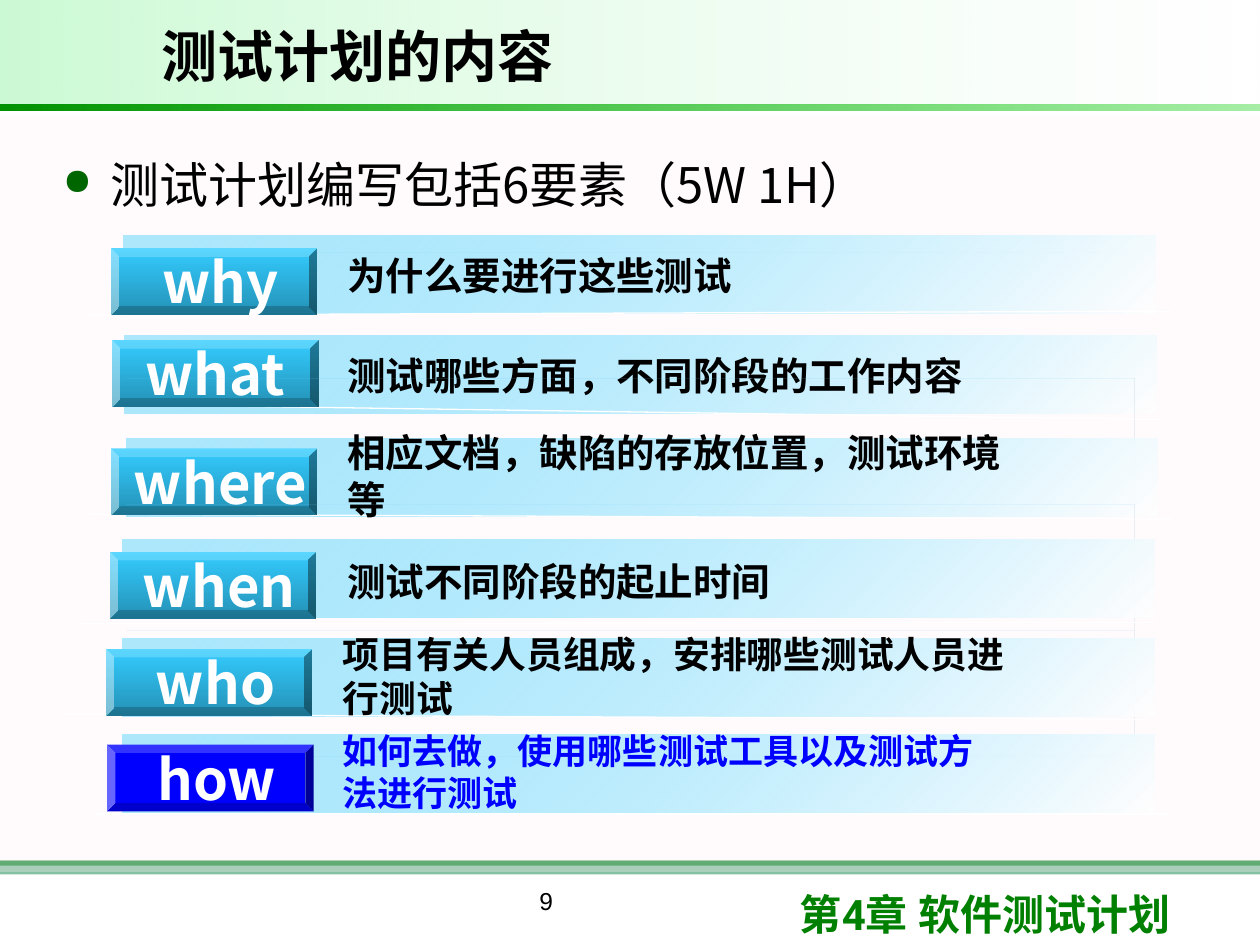
import pptx
import pptx.dml.color
import pptx.enum.shapes
import pptx.enum.text
import pptx.oxml
import pptx.oxml.ns
import pptx.util
from lxml import etree

Inches = pptx.util.Inches
Pt = pptx.util.Pt
RGB = pptx.dml.color.RGBColor
SHAPE = pptx.enum.shapes.MSO_SHAPE
ALIGN = pptx.enum.text.PP_ALIGN
MIDDLE = pptx.enum.text.MSO_ANCHOR.MIDDLE
qn = pptx.oxml.ns.qn

WIDTH, HEIGHT = 10, 7.5
WHITE, BLACK, BLUE = RGB(255, 255, 255), RGB(0, 0, 0), RGB(0, 0, 255)
GREEN, SEA_GREEN, BULLET_GREEN = RGB(0, 0x80, 0), RGB(0x33, 0x99, 0x66), RGB(0, 0x66, 0)
BLUSH, MINT = RGB(0xFF, 0xF0, 0xF5), RGB(0x09, 0xE7, 0x33)
RULE_DARK, RULE_LIGHT = RGB(0, 0x92, 0), RGB(0, 0xCC, 0)
SKY, DEEP_SKY = RGB(0x33, 0xCC, 0xFF), RGB(0x24, 0x91, 0xB6)
EDGE_TOP, EDGE_RIGHT = RGB(0x80, 0xD0, 0xFA), RGB(0x5B, 0x9C, 0xBB)
CJK = "Noto Sans CJK SC"

BAR_WIDTH, BAR_HEIGHT, BAR_DEPTH = 8.19, 0.62, 0.04
TAB_WIDTH, TAB_HEIGHT = 1.64, 0.53
# label, tab inset, answer, answer size, bar corner, tab corner, answer corner, separator ends
ROWS = [
    ("why", 0.1, "为什么要进行这些测试", 22,
     (0.98, 1.87), (0.88, 1.97), (2.66, 1.81), (0.69, 2.5, 9.29, 2.47)),
    ("what", 0, "测试哪些方面，不同阶段的工作内容", 22,
     (0.99, 2.66), (0.89, 2.7), (2.66, 2.6), (1.6, 3.22, 9.21, 3.33)),
    ("where", 0.1, "相应文档，缺陷的存放位置，测试环境等", 22,
     (1, 3.48), (0.88, 3.56), (2.66, 3.4), (0.69, 4.08, 9.29, 4.12)),
    ("when", 0.1, "测试不同阶段的起止时间", 22,
     (0.97, 4.28), (0.87, 4.38), (2.66, 4.24), (0.64, 4.95, 9.15, 4.94)),
    ("who", 0.1, "项目有关人员组成，安排哪些测试人员进行测试", 21,
     (0.97, 5.07), (0.84, 5.15), (2.62, 4.99), (0.5, 5.67, 9.1, 5.71)),
    ("how", 0.1, "如何去做，使用哪些测试工具以及测试方法进行测试", 20,
     (0.97, 5.83), (0.85, 5.91), (2.62, 5.75), (0.75, 6.46, 9.27, 6.46)),
]


def paint(shape, stops, angle=0):
    """Fill with one (colour, opacity) stop or a gradient of two, turned clockwise."""
    shape.shadow.inherit = False
    shape.line.fill.background()
    if len(stops) == 1:
        shape.fill.solid()
        shape.fill.fore_color.rgb = stops[0][0]
    else:
        shape.fill.gradient()
        shape.fill.gradient_angle = -angle % 360
        for position, (stop, (color, _)) in enumerate(zip(shape.fill.gradient_stops, stops)):
            stop.position = position
            stop.color.rgb = color
    colors = shape._element.spPr.iter(qn("a:srgbClr"))
    for element, (_, opacity) in zip(colors, stops):
        if opacity < 100:
            etree.SubElement(element, qn("a:alpha"), val=str(opacity * 1000))


def add_block(slide, box, stops, angle=0, kind=SHAPE.RECTANGLE):
    shape = slide.shapes.add_shape(kind, *map(Inches, box))
    paint(shape, stops, angle)
    return shape


def write(shape, text, size, color, font=None, bold=False, align=None, anchor=None, wrap=True):
    frame = shape.text_frame
    frame.word_wrap = wrap
    frame.vertical_anchor = anchor
    frame.text = text
    paragraph = frame.paragraphs[0]
    paragraph.alignment = align
    run = paragraph.runs[0]
    run.font.size, run.font.bold = Pt(size), bold
    run.font.color.rgb = color
    run.font.name = font or "Arial"
    etree.SubElement(run._r.get_or_add_rPr(), qn("a:ea"), typeface=font or CJK)
    return paragraph


def add_text(slide, box, *args, **style):
    return write(slide.shapes.add_textbox(*map(Inches, box)), *args, **style)


def add_header(slide, left, top, width, height):
    add_block(slide, (left, top, width, height), [(MINT, 21), (WHITE, 10)])
    add_block(slide, (left, top + height, width, 0.05), [(RULE_DARK, 100), (RULE_LIGHT, 35)])
    add_text(slide, (left + 1.18, top + 0.08, 6.97, 0.71), "测试计划的内容", 32, BLACK,
             bold=True, anchor=MIDDLE)


def add_footer(slide, left, top, width):
    add_block(slide, (left, top, width, 0.04), [(GREEN, 100)])
    add_block(slide, (left, top, width, 0.11), [(SEA_GREEN, 60)])
    add_block(slide, (left, 0.92, width, 6), [(BLUSH, 30)])
    add_text(slide, (left + 6.25, top + 0.17, 3.37, 0.5), "第4章 软件测试计划", 24, GREEN,
             font="Roboto", bold=True)
    add_text(slide, (left + 2.75, top + 0.15, 3.17, 0.52), "9", 14, BLACK, align=ALIGN.CENTER)


def add_lead(slide, box):
    paragraph = add_text(slide, box, "测试计划编写包括6要素（5W 1H）", 28, BLACK, font=CJK)
    paragraph.line_spacing = 1.2
    paragraph.space_after = Pt(6)
    properties = paragraph._p.get_or_add_pPr()
    properties.set("marL", str(Inches(0.39)))
    properties.set("indent", str(Inches(-0.38)))
    color = etree.SubElement(properties, qn("a:buClr"))
    etree.SubElement(color, qn("a:srgbClr"), val=str(BULLET_GREEN))
    etree.SubElement(properties, qn("a:buSzPct"), val="75000")
    etree.SubElement(properties, qn("a:buChar"), char="●")


def add_face(slide, points, color):
    builder = slide.shapes.build_freeform(*points[0], scale=Inches(1))
    builder.add_line_segments(points[1:])
    paint(builder.convert_to_shape(), [(color, 100)])


def add_bar(slide, left, top):
    """Draw a translucent bar with a raised top and right edge."""
    right, bottom, depth = left + BAR_WIDTH, top + BAR_HEIGHT, BAR_DEPTH
    corner = (right + depth, top - depth)
    add_face(slide, [(left, top), (left + depth, top - depth), corner, (right, top)], EDGE_TOP)
    add_face(slide, [(right, top), corner, (right + depth, bottom - depth), (right, bottom)],
             EDGE_RIGHT)
    add_block(slide, (left, top, BAR_WIDTH, BAR_HEIGHT), [(SKY, 40), (WHITE, 90)], 45)


def add_separator(slide, ends):
    line = slide.shapes.add_connector(pptx.enum.shapes.MSO_CONNECTOR.STRAIGHT,
                                      *map(Inches, ends))
    line.line.color.rgb = WHITE
    line.line.width = Pt(0.75)
    etree.SubElement(line._element.spPr, qn("a:effectLst"))


def add_row(slide, label, inset, answer, size, bar, tab, answer_corner, separator):
    highlighted = label == "how"
    add_bar(slide, *bar)
    add_separator(slide, separator)
    stops = [(BLUE, 100)] if highlighted else [(SKY, 100), (DEEP_SKY, 100)]
    shape = add_block(slide, (*tab, TAB_WIDTH, TAB_HEIGHT), stops, 90, SHAPE.BEVEL)
    write(shape, label, 32, WHITE, font=CJK, bold=True, align=ALIGN.CENTER,
          anchor=MIDDLE, wrap=False)
    shape.text_frame.margin_left = Inches(0.1 + inset)
    add_text(slide, (*answer_corner, 5.45, 0.75), answer, size, BLUE if highlighted else BLACK,
             bold=True, anchor=MIDDLE, wrap=False)


def main():
    presentation = pptx.Presentation()
    presentation.slide_width, presentation.slide_height = Inches(WIDTH), Inches(HEIGHT)
    slide = presentation.slides.add_slide(presentation.slide_layouts[6])
    add_footer(slide, 0, 6.83, WIDTH)
    add_header(slide, 0, 0, WIDTH, 0.83)
    add_lead(slide, (0.39, 1.08, 9.36, 5.58))
    for row in ROWS:
        add_row(slide, *row)
    presentation.save("out.pptx")


if __name__ == "__main__":
    main()
